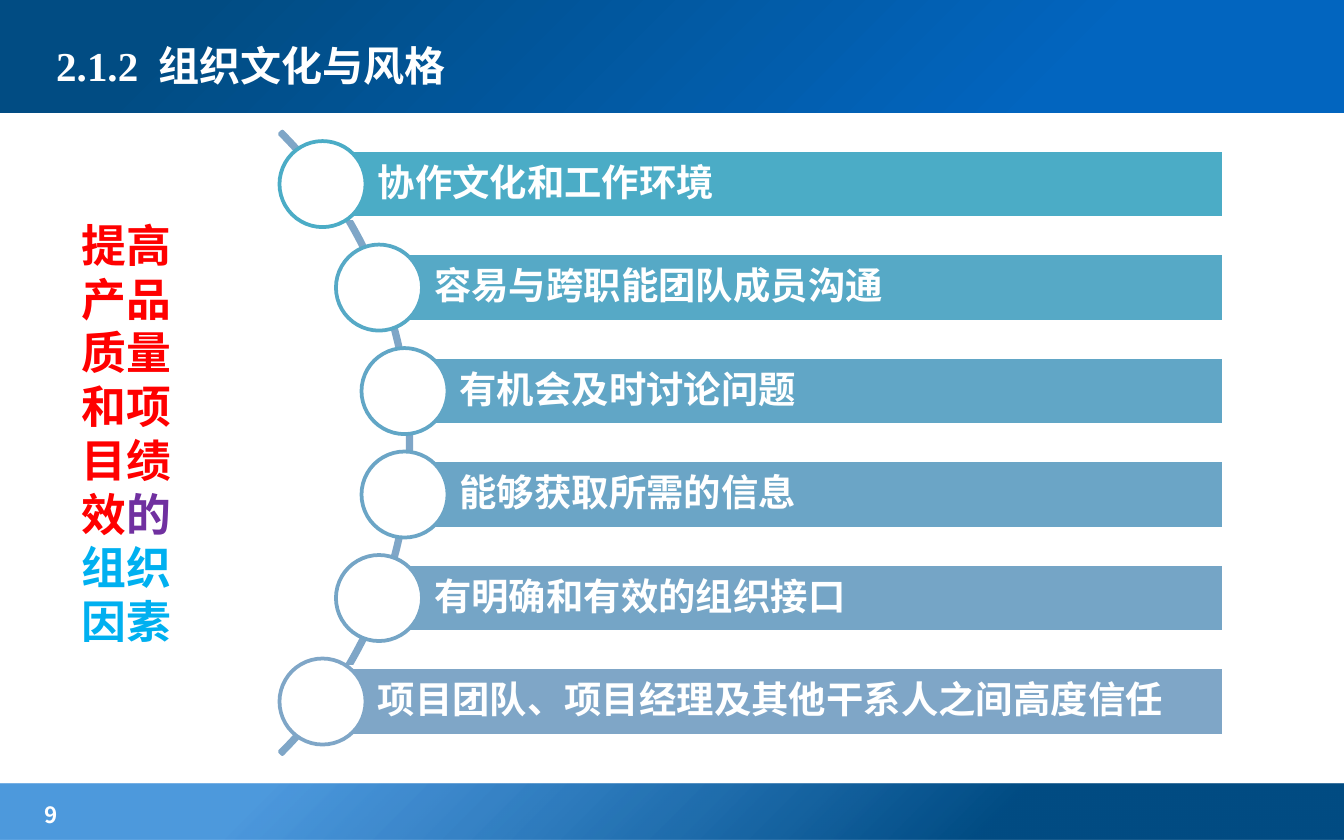
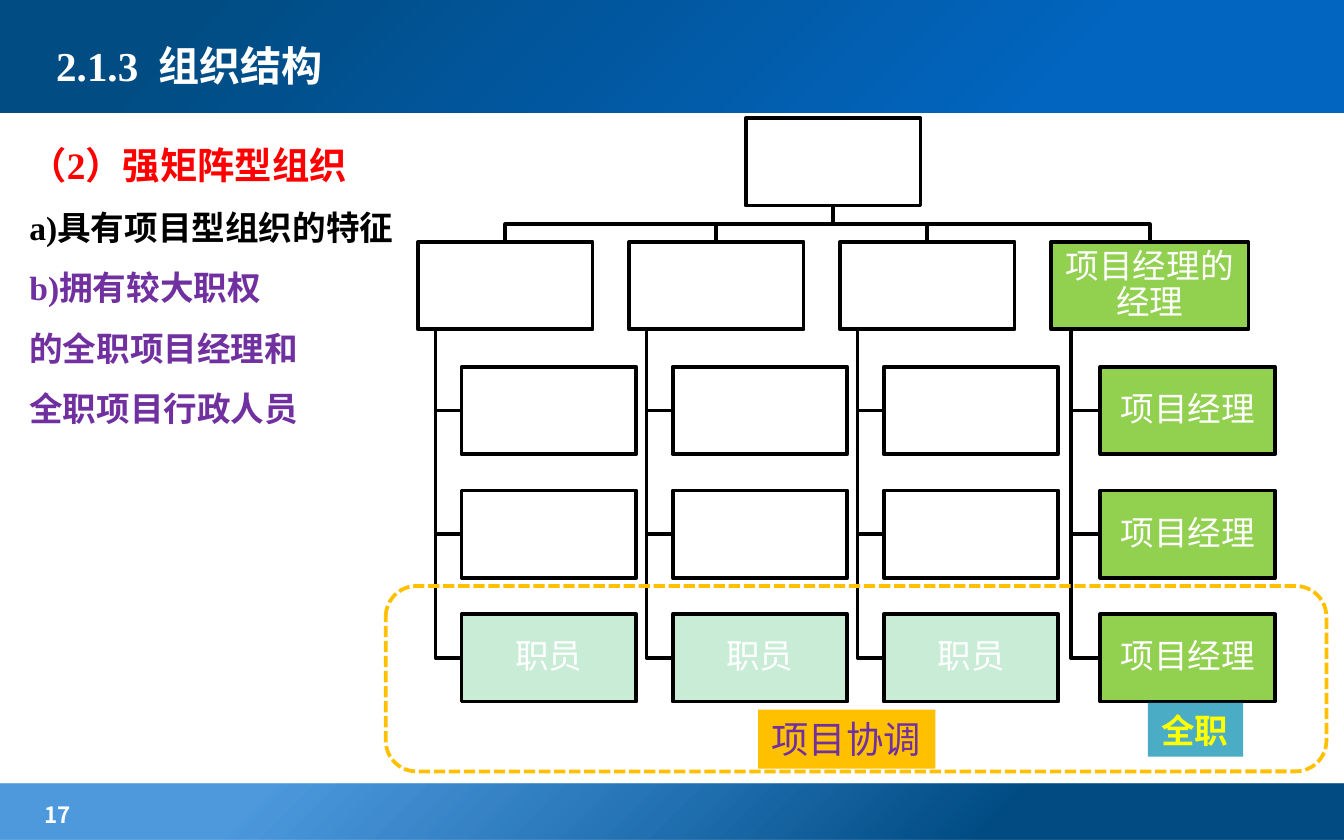
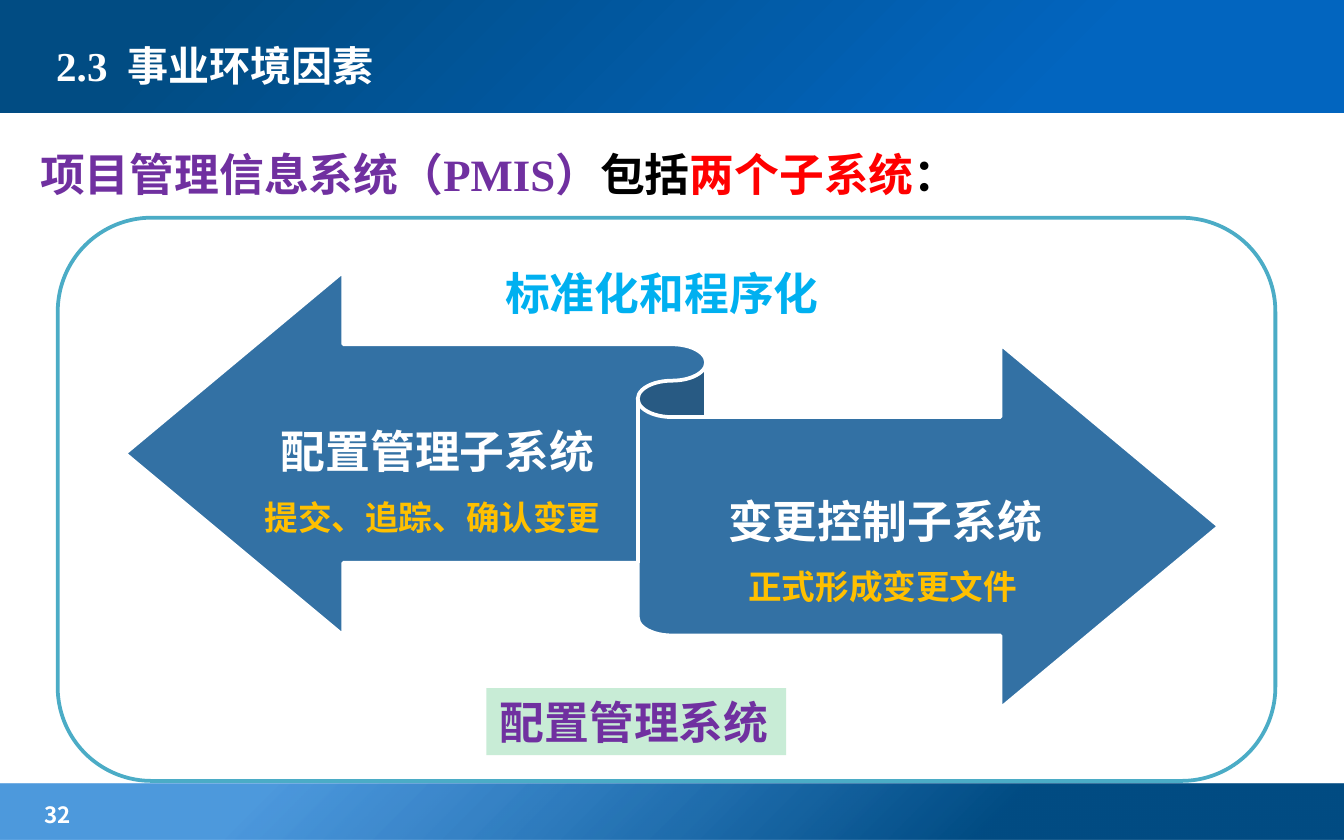
from dataclasses import dataclass
from typing import Optional

from pptx import Presentation
from pptx import util as u
from pptx.dml import color as dml
from pptx.enum import dml as lines
from pptx.enum import shapes, text
from pptx.oxml import parse_xml
from pptx.oxml import ns

SERIF, SANS, NOTO = "Times New Roman", "Lato", "Noto Sans CJK SC"
WHITE, BLACK, RED, PURPLE = "FFFFFF", "000000", "FF0000", "7030A0"
SKY, TEAL, GOLD, YELLOW = "00B0F0", "4BACC6", "FFC000", "FFFF00"
GREEN, MINT, STEEL, SLATE = "92D050", "C8ECD6", "3371A4", "7FA6C7"
KIND = shapes.MSO_SHAPE
LEFT, MID = text.PP_ALIGN.LEFT, text.PP_ALIGN.CENTER
TOP, CENTER = text.MSO_ANCHOR.TOP, text.MSO_ANCHOR.MIDDLE
PLAIN = (0.1, 0.05, 0.1, 0.05)
TIGHT = (0.01, 0.01, 0.01, 0.01)


@dataclass
class Box:
    x: float
    y: float
    w: float
    h: float

    def size(self) -> list:
        return [u.Inches(v) for v in (self.x, self.y, self.w, self.h)]


@dataclass
class Run:
    words: str
    size: float
    tint: str
    bold: bool = True
    face: str = SERIF


@dataclass
class Style:
    align: text.PP_ALIGN = LEFT
    anchor: text.MSO_ANCHOR = TOP
    inset: tuple = PLAIN
    space: Optional[float] = None
    wrap: bool = True
    grow: bool = False


@dataclass
class Factor:
    words: str
    left: float
    tint: str


@dataclass
class Branch:
    width: float
    head: str
    cells: list
    fills: list


@dataclass
class Band:
    box: Box
    stops: str


HEAD = Style(anchor=CENTER)
LABEL = Style(grow=True)
TAG = Style(wrap=False, grow=True)
CELL = Style(MID, CENTER, TIGHT, 0.9)
BAR = Style(LEFT, CENTER, (0.41, 0.06, 0.06, 0.06), 0.9)
ARROW = Style(MID, CENTER, (0, 0.09, 0, 0.1), 0.9)
BODY = Style(space=1.5)

BANDS = [
    Band(Box(0, 5.83, 10, 0.42),
         '<a:gs pos="26000"><a:srgbClr val="014C83"/></a:gs>'
         '<a:gs pos="80000"><a:srgbClr val="026DCE"><a:alpha val="70000"/></a:srgbClr></a:gs>'),
    Band(Box(0, -0.03, 10, 0.87),
         '<a:gs pos="21000"><a:srgbClr val="0265BF"/></a:gs>'
         '<a:gs pos="86000"><a:srgbClr val="014C83"/></a:gs>'),
]

FACTORS = [
    Factor("协作文化和工作环境", 2.4, TEAL),
    Factor("容易与跨职能团队成员沟通", 2.82, "56A9C6"),
    Factor("有机会及时讨论问题", 3.01, "61A6C6"),
    Factor("能够获取所需的信息", 3.01, "6BA5C6"),
    Factor("有明确和有效的组织接口", 2.82, "75A5C6"),
    Factor("项目团队、项目经理及其他干系人之间高度信任", 2.4, SLATE),
]

STAFF = Branch(1.3, "", ["", "", "职员"], [WHITE, WHITE, WHITE, MINT])
CHIEF = Branch(1.47, "项目经理的经理", ["项目经理"] * 3, [GREEN] * 4)
BRANCHES = [STAFF, STAFF, STAFF, CHIEF]


def rgb(tint: str) -> dml.RGBColor:
    return dml.RGBColor.from_string(tint)


def paint(shape, fill: Optional[str], edge: Optional[str]) -> None:
    if fill:
        shape.fill.solid()
        shape.fill.fore_color.rgb = rgb(fill)
    else:
        shape.fill.background()
    if edge:
        shape.line.color.rgb = rgb(edge)
        shape.line.width = u.Pt(2)
    else:
        shape.line.fill.background()


def draw(slide, kind, box: Box, fill: Optional[str] = None, edge: Optional[str] = None):
    shape = slide.shapes.add_shape(kind, *box.size())
    shape.shadow.inherit = False
    paint(shape, fill, edge)
    return shape


def write(shape, paras: list, style: Style) -> None:
    frame = shape.text_frame
    frame.word_wrap = style.wrap
    frame.vertical_anchor = style.anchor
    if style.grow:
        frame.auto_size = text.MSO_AUTO_SIZE.SHAPE_TO_FIT_TEXT
    (frame.margin_left, frame.margin_top,
     frame.margin_right, frame.margin_bottom) = map(u.Inches, style.inset)
    for i, runs in enumerate(paras):
        para = frame.add_paragraph() if i else frame.paragraphs[0]
        para.alignment = style.align
        if style.space:
            para.line_spacing = style.space
        for item in runs:
            run = para.add_run()
            run.text = item.words
            run.font.size = u.Pt(item.size)
            run.font.bold = item.bold
            run.font.name = item.face
            run.font.color.rgb = rgb(item.tint)


def note(slide, box: Box, paras: list, style: Style = LABEL, fill: Optional[str] = None) -> None:
    shape = slide.shapes.add_textbox(*box.size())
    paint(shape, fill, None)
    write(shape, paras, style)


def trace(slide, dots: list) -> None:
    pts = [(u.Inches(x), u.Inches(y)) for x, y in dots]
    pen = slide.shapes.build_freeform(*pts[0])
    pen.add_line_segments(pts[1:], close=False)
    shape = pen.convert_to_shape()
    shape.shadow.inherit = False
    paint(shape, None, BLACK)


def shade(shape, stops: str) -> None:
    props = shape.element.spPr
    props.replace(props.find(ns.qn("a:noFill")), parse_xml(
        f'<a:gradFill {ns.nsdecls("a")} rotWithShape="1"><a:gsLst>{stops}</a:gsLst>'
        '<a:path path="circle"><a:fillToRect l="100000" t="100000"/></a:path></a:gradFill>'))


def start(deck, title: str, page: int, width: float = 6.38):
    slide = deck.slides.add_slide(deck.slide_layouts[6])
    for band in BANDS:
        shade(draw(slide, KIND.RECTANGLE, band.box), band.stops)
    note(slide, Box(0.23, 5.91, 1.54, 0.26), [[Run(str(page), 12, WHITE, face=NOTO)]], Style())
    note(slide, Box(0.32, 0.13, width, 0.71), [[Run(title, 22, WHITE)]], HEAD)
    return slide


def culture(deck) -> None:
    slide = start(deck, "2.1.2  组织文化与风格", 9)
    arc = draw(slide, KIND.BLOCK_ARC, Box(-3.49, 0.02, 6.55, 6.55), edge=SLATE)
    for i, value in enumerate((189, 27, 0.004)):
        arc.adjustments[i] = value
    right, high, disc = 9.11, 0.51, 0.64
    for i, item in enumerate(FACTORS):
        mid = 1.37 + 0.77 * i
        bar = draw(slide, KIND.RECTANGLE,
                   Box(item.left, mid - high / 2, right - item.left, high), item.tint, WHITE)
        write(bar, [[Run(item.words, 20, WHITE)]], BAR)
        draw(slide, KIND.OVAL,
             Box(item.left - disc / 2, mid - disc / 2, disc, disc), WHITE, item.tint)
    note(slide, Box(0.51, 1.57, 1.19, 3.33), [[
        Run("提高产品质量和项目绩效", 24, RED), Run("的", 24, PURPLE), Run("组织因素", 24, SKY)]])


def chart(slide) -> None:
    high, wide, top = 0.65, 1.3, 1.8
    boss = Box(5.55, 0.88, wide, high)
    hub, base, bus = boss.x + wide / 2, boss.y + high, 1.67
    boxes = [(boss, "", WHITE)]
    for i, part in enumerate(BRANCHES):
        left = 3.11 + 1.57 * i
        mid, stem, inner = left + part.width / 2, left + part.width / 10, left + part.width / 4
        trace(slide, [(hub, base), (hub, bus), (mid, bus), (mid, top)])
        boxes.append((Box(left, top, part.width, high), part.head, part.fills[0]))
        for row, words in enumerate(part.cells):
            y = 2.73 + 0.92 * row
            trace(slide, [(stem, top + high), (stem, y + high / 2), (inner, y + high / 2)])
            boxes.append((Box(inner, y, wide, high), words, part.fills[row + 1]))
    for box, words, fill in boxes:
        shape = draw(slide, KIND.RECTANGLE, box, fill, BLACK)
        if words:
            write(shape, [[Run(words, 18, WHITE, False, SANS)]], CELL)


def matrix(deck) -> None:
    slide = start(deck, "2.1.3  组织结构", 17)
    chart(slide)
    note(slide, Box(8.54, 5.23, 0.71, 0.4), [[Run("全职", 18, YELLOW)]], TAG, TEAL)
    traits = [("a)具有项目型组织的特征", BLACK), ("b)拥有较大职权", PURPLE),
              ("的全职项目经理和", PURPLE), ("全职项目行政人员", PURPLE)]
    note(slide, Box(0.12, 0.84, 4.88, 2.37),
         [[Run("（2）强矩阵型组织", 20, RED)]] + [[Run(words, 18, tint)] for words, tint in traits],
         Style(space=1.5, grow=True))
    ring = draw(slide, KIND.ROUNDED_RECTANGLE, Box(2.87, 4.36, 7, 1.38), edge=GOLD)
    ring.line.dash_style = lines.MSO_LINE.SQUARE_DOT
    note(slide, Box(5.64, 5.28, 1.32, 0.44),
         [[Run("项目协调", 20, PURPLE, False, SANS)]], TAG, GOLD)


def system(deck) -> None:
    slide = start(deck, "2.3  事业环境因素", 32, 7.28)
    note(slide, Box(0.2, 0.84, 9.29, 3.9), [[
        Run("项目管理信息系统（PMIS）", 24, PURPLE), Run("包括", 24, BLACK),
        Run("两个子系统", 24, RED), Run("：", 24, BLACK)]], BODY)
    draw(slide, KIND.LEFT_RIGHT_RIBBON, Box(0.93, 2.02, 8.14, 3.25), STEEL, WHITE)
    for box, run, style, fill in (
        (Box(1.91, 2.59, 2.69, 1.59), Run("配置管理子系统", 24, WHITE), ARROW, None),
        (Box(5, 3.11, 3.17, 1.59), Run("变更控制子系统", 24, WHITE), ARROW, None),
        (Box(5.47, 4.16, 2.23, 0.4), Run("正式形成变更文件", 18, GOLD), LABEL, None),
        (Box(1.87, 3.65, 2.83, 0.4), Run("提交、追踪、确认变更", 18, GOLD), LABEL, None),
        (Box(3.62, 5.12, 2.23, 0.5), Run("配置管理系统", 24, PURPLE), LABEL, MINT),
        (Box(3.66, 1.93, 2.68, 0.5), Run("标准化和程序化", 24, SKY), LABEL, None),
    ):
        note(slide, box, [[run]], style, fill)
    draw(slide, KIND.ROUNDED_RECTANGLE, Box(0.43, 1.62, 9.06, 4.19), edge=TEAL)


def main() -> None:
    deck = Presentation()
    deck.slide_width, deck.slide_height = u.Inches(10), u.Inches(6.25)
    culture(deck)
    matrix(deck)
    system(deck)
    deck.save("out.pptx")


if __name__ == "__main__":
    main()
